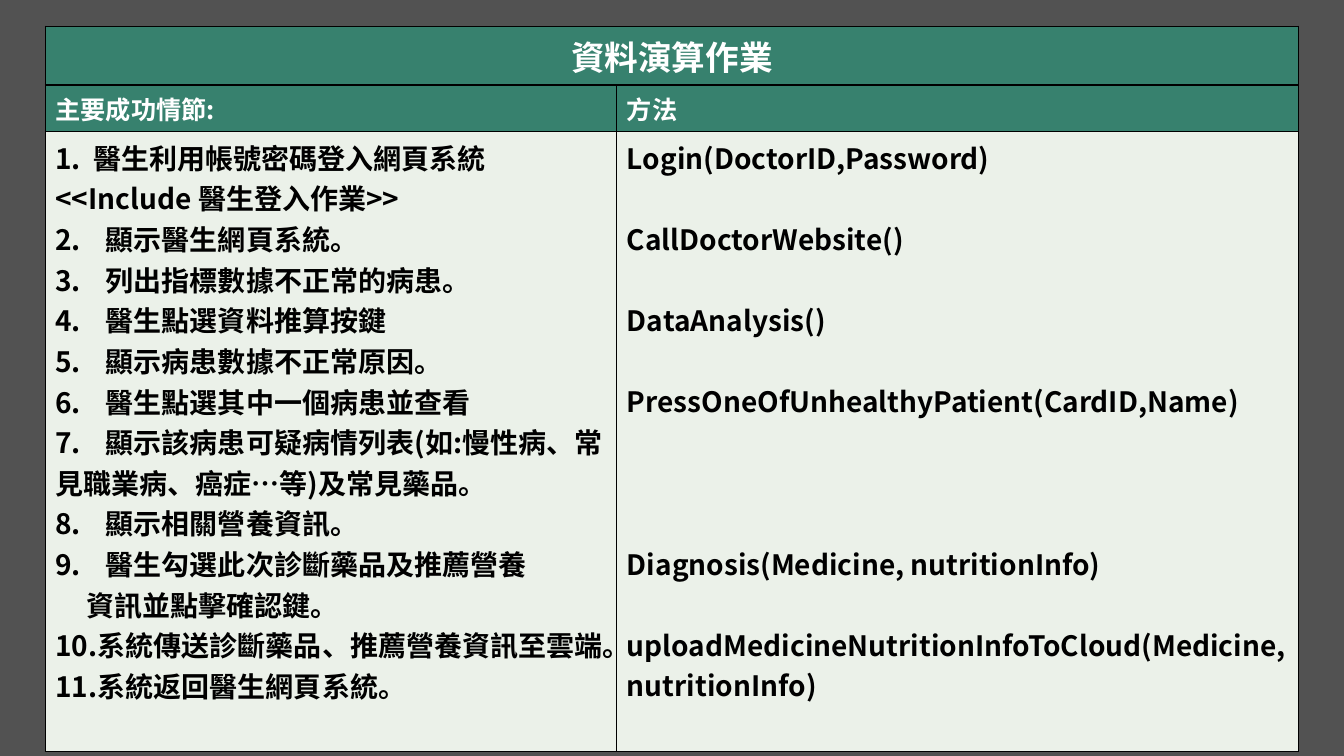
import pptx
import pptx.util
import pptx.dml.color
import pptx.enum.text
import pptx.oxml
import pptx.oxml.ns

Pt = pptx.util.Pt
FONT = "Noto Sans CJK SC"
COLORS = {"back": "525252", "head": "37816E", "body": "EBF1E9",
          "light": "FFFFFF", "dark": "000000"}
LINE = 28.96
STEPS = [
    ("醫生利用帳號密碼登入網頁系統", {"number": 27}),
    ("<<Include 醫生登入作業>>", {}),
    ("2.\t顯示醫生網頁系統。", {"tab": 33}),
    ("3.\t列出指標數據不正常的病患。", {"tab": 33}),
    ("4.\t醫生點選資料推算按鍵", {"tab": 33}),
    ("5.\t顯示病患數據不正常原因。", {"tab": 33}),
    ("6.\t醫生點選其中一個病患並查看", {"tab": 33}),
    ("7.\t顯示該病患可疑病情列表(如:慢性病、常見職業病、癌症…等)及常見藥品。", {"tab": 33}),
    ("8.\t顯示相關營養資訊。", {"tab": 33}),
    ("9.\t醫生勾選此次診斷藥品及推薦營養", {"tab": 33}),
    ("資訊並點擊確認鍵。", {"left": 22}),
    ("10.系統傳送診斷藥品、推薦營養資訊至雲端。", {}),
    ("11.系統返回醫生網頁系統。", {}),
]
CALLS = [
    ("Login(DoctorID,Password)", {}),
    ("CallDoctorWebsite()", {"skip": 1}),
    ("DataAnalysis()", {"skip": 1}),
    ("PressOneOfUnhealthyPatient(CardID,Name)", {"skip": 1}),
    ("Diagnosis(Medicine, nutritionInfo)", {"skip": 3}),
    ("uploadMedicineNutritionInfoToCloud(Medicine, nutritionInfo)", {"skip": 1}),
]


def shade(fill, color):
    """Give a fill one solid colour."""
    fill.solid()
    fill.fore_color.rgb = pptx.dml.color.RGBColor.from_string(COLORS[color])


def node(xml):
    """Make a drawing element from its tag text."""
    space = pptx.oxml.ns.nsdecls("a")
    return pptx.oxml.parse_xml(xml.replace(" ", f" {space} ", 1))


def write(para, text, size=20, color="dark", align="LEFT",
          skip=0, left=0, tab=0, number=0):
    """Write one formatted paragraph."""
    para.alignment = getattr(pptx.enum.text.PP_ALIGN, align)
    para.space_before = Pt(skip * LINE)
    run = para.add_run()
    run.text = text
    run.font.size = Pt(size)
    run.font.bold = True
    shade(run.font.fill, color)
    run.font.name = FONT
    run.font._element.append(node(f'<a:ea typeface="{FONT}"/>'))
    props = para._p.get_or_add_pPr()
    props.set("marL", str(Pt(left + number)))
    props.set("indent", str(Pt(-number)))
    if number:
        props.append(node('<a:buFont typeface="+mj-lt"/>'))
        props.append(node('<a:buAutoNum type="arabicPeriod"/>'))
    if tab:
        props.append(node(
            f'<a:tabLst ><a:tab pos="{Pt(tab)}" algn="l"/></a:tabLst>'))


def frame(cell, fill):
    """Fill a cell and draw its four borders."""
    shade(cell.fill, fill)
    props = cell._tc.get_or_add_tcPr()
    for spot, side in enumerate("LRTB"):
        props.insert(spot, node(
            f'<a:ln{side} w="{Pt(1)}"><a:solidFill><a:srgbClr '
            f'val="{COLORS["dark"]}"/></a:solidFill></a:ln{side}>'))


def grid(slide, left, top, cols, rows):
    """Build the table of steps and methods."""
    shape = slide.shapes.add_table(len(rows), len(cols), Pt(left), Pt(top),
                                   Pt(sum(cols)), Pt(sum(rows)))
    table = shape.table
    for col, width in zip(table.columns, cols):
        col.width = Pt(width)
    for row, height in zip(table.rows, rows):
        row.height = Pt(height)
    for spot, cell in enumerate(table.iter_cells()):
        frame(cell, "head" if spot < 4 else "body")
    table.cell(0, 0).merge(table.cell(0, 1))
    head = {"size": 18, "color": "light"}
    parts = {
        (0, 0): [("資料演算作業", {"size": 24, "color": "light", "align": "CENTER"})],
        (1, 0): [("主要成功情節:", head)],
        (1, 1): [("方法", head)],
        (2, 0): STEPS,
        (2, 1): CALLS,
    }
    for place, lines in parts.items():
        text = table.cell(*place).text_frame
        for spot, (line, form) in enumerate(lines):
            para = text.add_paragraph() if spot else text.paragraphs[0]
            write(para, line, **form)


def main():
    """Make the deck and save it."""
    deck = pptx.Presentation()
    deck.slide_width, deck.slide_height = Pt(960), Pt(540)
    slide = deck.slides.add_slide(deck.slide_layouts[6])
    shade(slide.background.fill, "back")
    grid(slide, 32.4, 18.7, [408.25, 486.75], [42, 33.25, 442])
    deck.save("out.pptx")


if __name__ == "__main__":
    main()
